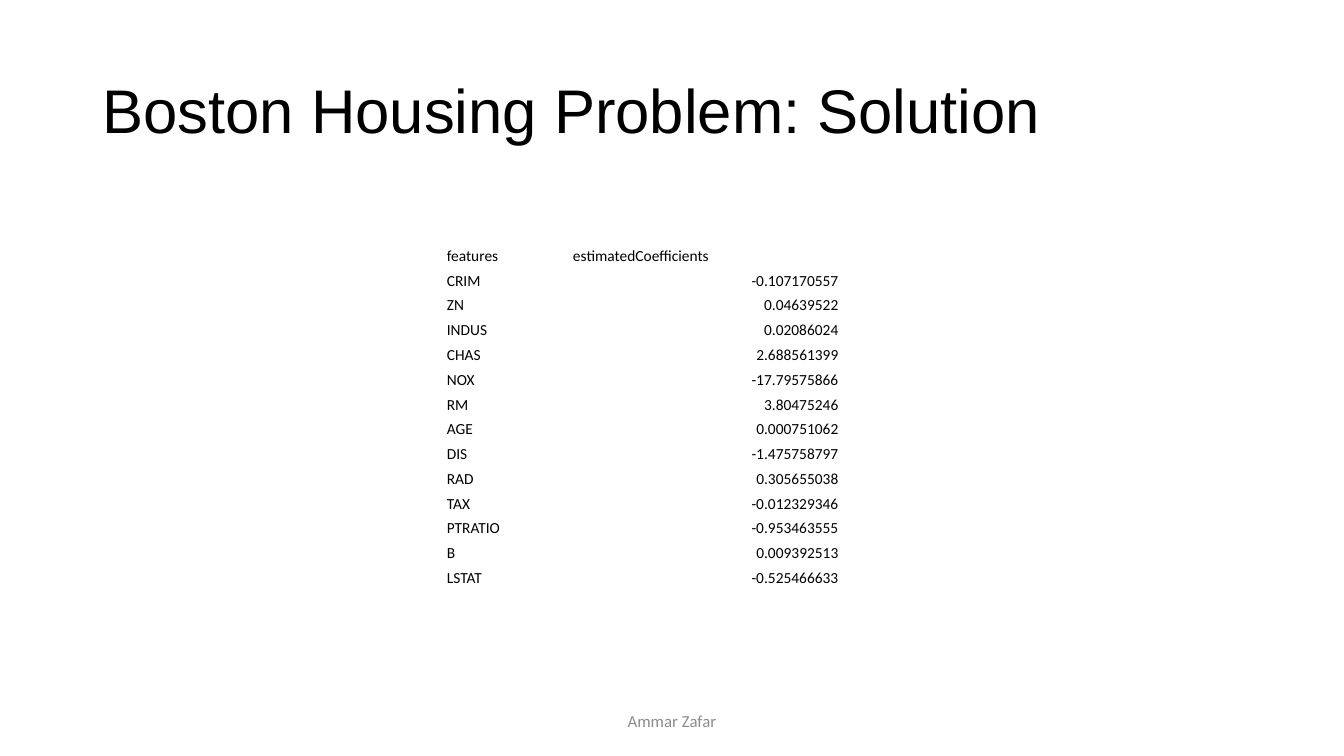
import pptx
import pptx.util
import pptx.dml.color
import pptx.enum.text

Cm = pptx.util.Cm
ALIGN = pptx.enum.text.PP_ALIGN
ANCHOR = pptx.enum.text.MSO_ANCHOR

COEFFICIENTS = [
    ("features", "estimatedCoefficients"),
    ("CRIM", "-0.107170557"),
    ("ZN", "0.04639522"),
    ("INDUS", "0.02086024"),
    ("CHAS", "2.688561399"),
    ("NOX", "-17.79575866"),
    ("RM", "3.80475246"),
    ("AGE", "0.000751062"),
    ("DIS", "-1.475758797"),
    ("RAD", "0.305655038"),
    ("TAX", "-0.012329346"),
    ("PTRATIO", "-0.953463555"),
    ("B", "0.009392513"),
    ("LSTAT", "-0.525466633"),
]


def rgb(value):
    return pptx.dml.color.RGBColor.from_string(value)


def set_attrs(obj, values):
    for name, value in values.items():
        setattr(obj, name, value)


def place(sp, left, top, width, height):
    set_attrs(sp, {"left": Cm(left), "top": Cm(top),
                   "width": Cm(width), "height": Cm(height)})


def write(tf, text, font, size, color, align=ALIGN.LEFT):
    p = tf.paragraphs[0]
    p.alignment = align
    r = p.add_run()
    r.text = text
    set_attrs(r.font, {"name": font, "size": pptx.util.Pt(size)})
    r.font.color.rgb = rgb(color)
    return p


def add_title(s, text):
    sp = s.shapes.title
    place(sp, 2.33, 1.01, 29.21, 3.68)
    set_attrs(sp.text_frame, {"vertical_anchor": ANCHOR.MIDDLE, "word_wrap": True,
                              "auto_size": pptx.enum.text.MSO_AUTO_SIZE.NONE})
    p = write(sp.text_frame, text, "Arial", 44, "000000")
    p.line_spacing = 0.9


def add_coefficient_table(s, rows, left, top, widths, height):
    frame = s.shapes.add_table(len(rows), len(widths), Cm(left), Cm(top),
                               Cm(sum(widths)), Cm(height))
    table = frame.table
    set_attrs(table, {"first_row": False, "horz_banding": False})
    for column, width in zip(table.columns, widths):
        column.width = Cm(width)
    cell_format = {"margin_left": Cm(0.03), "margin_right": Cm(0.03),
                   "margin_top": Cm(0.03), "margin_bottom": 0,
                   "vertical_anchor": ANCHOR.BOTTOM}
    for i, row in enumerate(rows):
        for j, text in enumerate(row):
            cell = table.cell(i, j)
            cell.fill.background()
            set_attrs(cell, cell_format)
            # Numbers sit right, headings and feature names left
            align = ALIGN.RIGHT if i and j else ALIGN.LEFT
            write(cell.text_frame, text, "Calibri", 11, "000000", align)


def add_footer(s, text):
    sp = s.shapes.add_textbox(0, 0, 0, 0)
    place(sp, 11.22, 17.66, 11.43, 1.01)
    set_attrs(sp.text_frame, {"vertical_anchor": ANCHOR.MIDDLE, "word_wrap": True})
    write(sp.text_frame, text, "Calibri", 12, "8C8C8C", ALIGN.CENTER)


def main():
    prs = pptx.Presentation()
    set_attrs(prs, {"slide_width": Cm(33.87), "slide_height": Cm(19.05)})
    s = prs.slides.add_slide(prs.slide_layouts.get_by_name("Title Only"))

    # Title
    add_title(s, "Boston Housing Problem: Solution")

    # Regression coefficients
    add_coefficient_table(s, COEFFICIENTS, 11.23, 6.07, (3.18, 6.75), 8.74)

    # Author in the footer
    add_footer(s, "Ammar Zafar")

    prs.save("out.pptx")


main()
